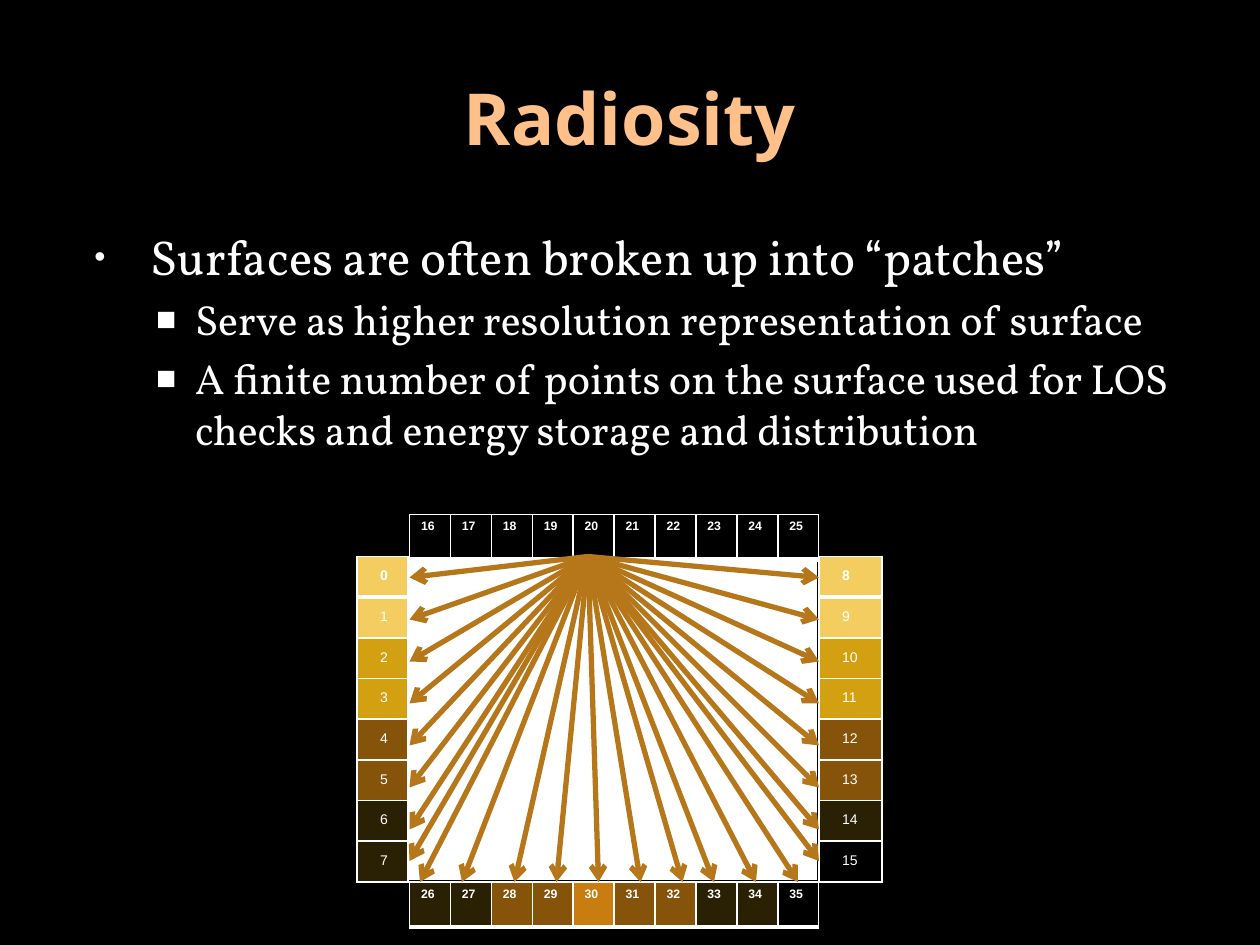
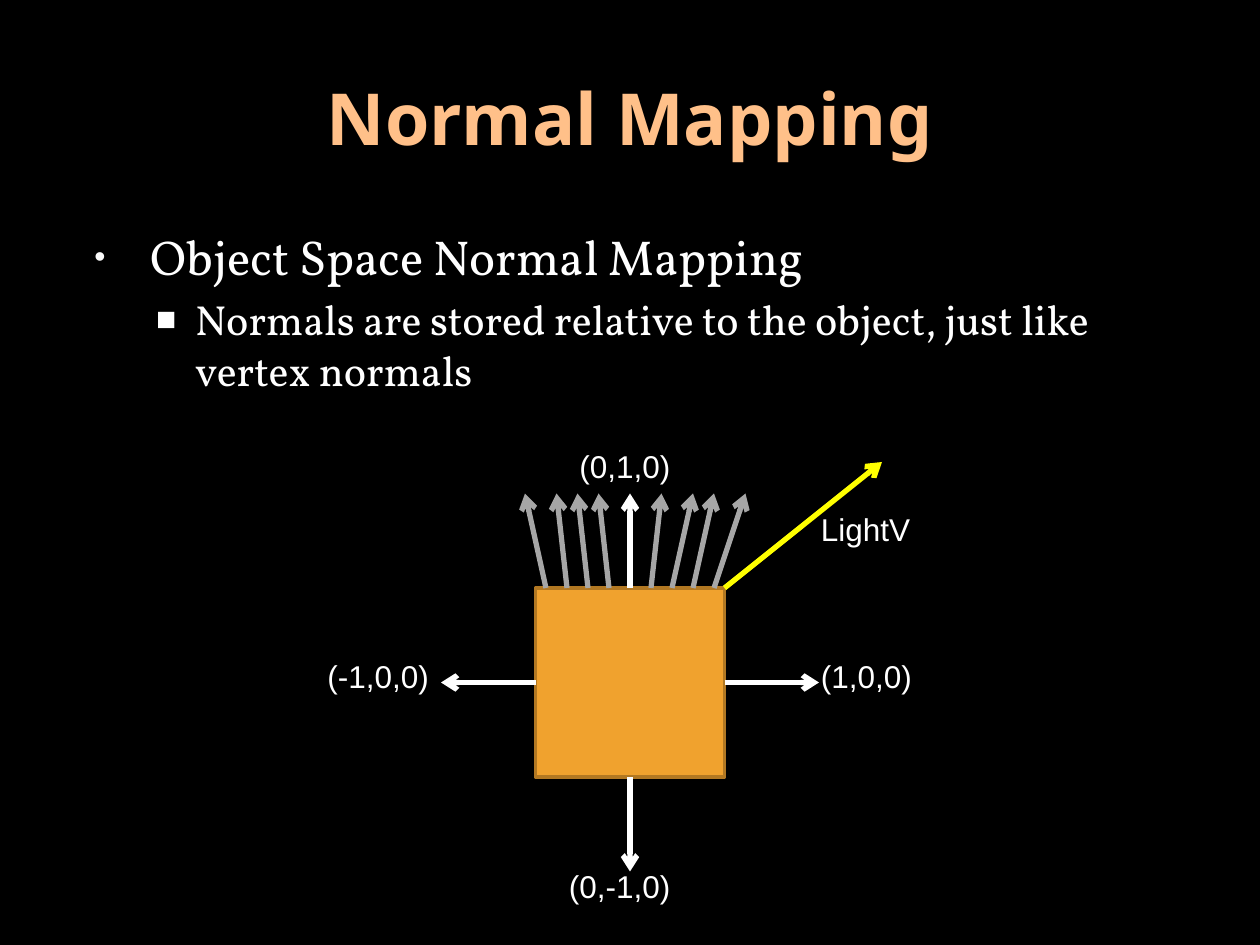
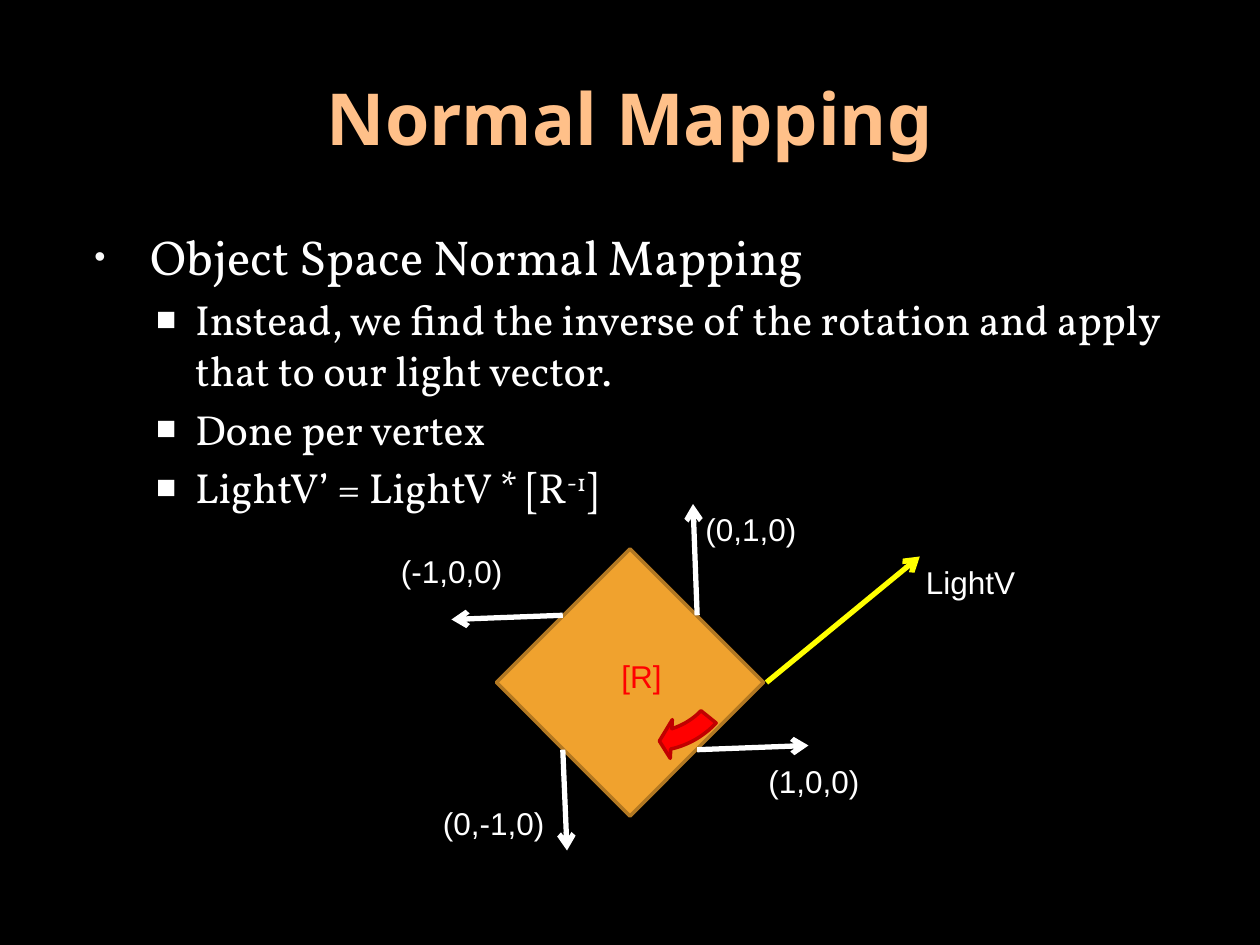
from dataclasses import dataclass
from typing import Optional

from lxml import etree
from pptx import Presentation
from pptx import util as u
from pptx.dml.color import RGBColor
from pptx.enum import shapes, text
from pptx.oxml import ns

SCALE = 7620  # EMU in one px, 120 px to the inch
WIDE, HIGH = 1200, 900

# Palette
BLACK, WHITE, GREY = "000000", "FFFFFF", "A6A6A6"
PEACH, BROWN, YELLOW = "FFC089", "B5771A", "FFFF00"
ORANGE, RUST, RED, CRIMSON = "F0A22E", "B27822", "FF0000", "C00000"
PALE, GOLD, UMBER, DARK, AMBER = "F3CD60", "D2A010", "85540A", "2A2003", "C87D0E"


@dataclass(frozen=True)
class Arrow:
    x1: int
    y1: int
    x2: int
    y2: int
    hue: str = WHITE
    site: Optional[int] = None  # side of the square where it starts


@dataclass(frozen=True)
class Label:
    words: str
    x: int
    y: int
    wide: int = 130
    hue: str = WHITE
    wrap: bool = True


@dataclass(frozen=True)
class Strip:
    x: int
    y: int
    wide: int
    high: int
    first: int  # number in the first patch
    hues: list[str]
    across: bool


@dataclass(frozen=True)
class Bullet:
    mark: str
    hue: str
    ratio: int  # size in percent of the text
    left: int
    hang: int
    size: int


LEVELS = [Bullet("•", "F9F9F9", 65, 72, -54, 28),
          Bullet("■", WHITE, 80, 114, -37, 24)]


# Helpers
def emu(px: int) -> u.Emu:
    return u.Emu(px * SCALE)


def box(*px: int) -> list[u.Emu]:
    return [emu(n) for n in px]


def rgb(hue: str) -> RGBColor:
    return RGBColor.from_string(hue)


def sub(node, tag: str, **attrs):
    return etree.SubElement(node, ns.qn(tag), {k: str(v) for k, v in attrs.items()})


def style(para, face: str, size: int, hue: str, bold: bool = False) -> None:
    font = para.font
    font.name, font.size, font.bold = face, u.Pt(size), bold
    font.color.rgb = rgb(hue)


def paint(shape, fill: str, line: str) -> None:
    shape.shadow.inherit = False
    shape.fill.solid()
    shape.fill.fore_color.rgb = rgb(fill)
    shape.line.color.rgb = rgb(line)
    shape.line.width = u.Pt(2)


# Shared slide elements
def start(deck, title: str, lines: list[str]):
    """Black slide with a title, one main point and its sub-points."""
    slide = deck.slides.add_slide(deck.slide_layouts[6])
    slide.background.fill.solid()
    slide.background.fill.fore_color.rgb = rgb(BLACK)

    frame = slide.shapes.add_textbox(*box(60, 36, 1080, 150)).text_frame
    frame.word_wrap = True
    frame.vertical_anchor = text.MSO_ANCHOR.MIDDLE
    head = frame.paragraphs[0]
    head.text = title
    head.alignment = text.PP_ALIGN.CENTER
    style(head, "Noto Sans", 41, PEACH, True)

    frame = slide.shapes.add_textbox(*box(60, 210, 1080, 618)).text_frame
    frame.word_wrap = True
    for i, line in enumerate(lines):
        para = frame.paragraphs[0] if i == 0 else frame.add_paragraph()
        point(para, line, LEVELS[min(i, 1)])
    return slide


def point(para, line: str, kind: Bullet) -> None:
    """Bulleted paragraph; text between ^ marks is raised."""
    props = para._p.get_or_add_pPr()
    props.set("marL", str(emu(kind.left)))
    props.set("indent", str(emu(kind.hang)))
    sub(sub(props, "a:spcBef"), "a:spcPct", val=20000)
    sub(sub(props, "a:buClr"), "a:srgbClr", val=kind.hue)
    sub(props, "a:buSzPct", val=kind.ratio * 1000)
    sub(props, "a:buFont", typeface="Arial")
    sub(props, "a:buChar", char=kind.mark)
    style(para, "Vollkorn", kind.size, WHITE)
    for i, piece in enumerate(line.split("^")):
        run = para.add_run()
        run.text = piece
        if i % 2:
            run._r.get_or_add_rPr().set("baseline", "30000")


def point_to(slide, arrow: Arrow, base=None) -> None:
    ends = box(arrow.x1, arrow.y1, arrow.x2, arrow.y2)
    link = slide.shapes.add_connector(shapes.MSO_CONNECTOR.STRAIGHT, *ends)
    if base is not None and arrow.site is not None:
        link.begin_connect(base, arrow.site)
        link.begin_x, link.begin_y = ends[:2]  # keeps the start on a turned side
    link.line.color.rgb = rgb(arrow.hue)
    link.line.width = u.Pt(3)
    props = link.element.spPr
    sub(props.find(ns.qn("a:ln")), "a:tailEnd", type="arrow")
    sub(props, "a:effectLst")


def write(slide, label: Label) -> None:
    frame = slide.shapes.add_textbox(*box(label.x, label.y, label.wide, 48)).text_frame
    frame.word_wrap = label.wrap
    frame.auto_size = text.MSO_AUTO_SIZE.SHAPE_TO_FIT_TEXT
    para = frame.paragraphs[0]
    para.text = label.words
    style(para, "Arial", 18, label.hue)


def square(slide, turn: int = 0):
    shape = slide.shapes.add_shape(shapes.MSO_SHAPE.RECTANGLE, *box(510, 560, 180, 180))
    paint(shape, ORANGE, RUST)
    shape.rotation = turn
    return shape


def border(cell, low: int) -> None:
    props = cell._tc.get_or_add_tcPr()
    for side, width in (("L", 1), ("R", 1), ("T", 1), ("B", low)):
        line = sub(props, f"a:ln{side}", w=u.Pt(width))
        sub(sub(line, "a:solidFill"), "a:srgbClr", val=WHITE)


def patches(slide, strip: Strip) -> None:
    """One row or column of numbered patches."""
    count = len(strip.hues)
    rows, cols = (1, count) if strip.across else (count, 1)
    table = slide.shapes.add_table(
        rows, cols, *box(strip.x, strip.y, strip.wide, strip.high)).table
    table.first_row = table.horz_banding = False
    for row in table.rows:
        row.height = emu(strip.high) // rows
    for col in table.columns:
        col.width = emu(strip.wide) // cols
    padx, pady, size = (11, 5, 7) if strip.across else (22, 11, 8)
    for i, (cell, hue) in enumerate(zip(table.iter_cells(), strip.hues)):
        lead = strip.across or i == 0
        border(cell, 3 if lead else 1)
        cell.fill.solid()
        cell.fill.fore_color.rgb = rgb(hue)
        cell.margin_left = cell.margin_right = emu(padx)
        cell.margin_top = cell.margin_bottom = emu(pady)
        para = cell.text_frame.paragraphs[0]
        para.text = str(strip.first + i)
        style(para, "Arial", size, WHITE, lead)


# Slide 1: light spreads from patch 20 to the other walls
def radiosity(deck) -> None:
    slide = start(deck, "Radiosity", [
        "Surfaces are often broken up into “patches”",
        "Serve as higher resolution representation of surface",
        "A finite number of points on the surface used for LOS checks "
        "and energy storage and distribution"])
    left, right, top, floor = 390, 780, 530, 840
    room = slide.shapes.add_shape(
        shapes.MSO_SHAPE.RECTANGLE, *box(370, top, 410, floor - top))
    paint(room, WHITE, BLACK)

    wall = [PALE] * 2 + [GOLD] * 2 + [UMBER] * 2 + [DARK]
    ground = [DARK] * 2 + [UMBER] * 2 + [AMBER] + [UMBER] * 2 + [DARK] * 2 + [BLACK]
    for strip in (
            Strip(340, top, 47, 310, 0, wall + [DARK], False),
            Strip(right, top, 60, 310, 8, wall + [BLACK], False),
            Strip(left, 490, 390, 43, 16, [BLACK] * 10, True),
            Strip(left, floor, 390, 43, 26, ground, True)):
        patches(slide, strip)

    sides = [*range(550, 800, 40), 820]
    lows = [400, 440, *range(490, 660, 40), 680, 720, 760]
    goals = ([(left, y) for y in sides] + [(x, floor) for x in lows]
             + [(right, y) for y in reversed(sides)])
    for x, y in goals:
        point_to(slide, Arrow(560, top, x, y, BROWN))


# Slide 2: normals around an upright square
def normals(deck) -> None:
    slide = start(deck, "Normal Mapping", [
        "Object Space Normal Mapping",
        "Normals are stored relative to the object, just like vertex normals"])
    base = square(slide)
    bumps = [(580, 570), (560, 550), (540, 530), (520, 500),
             (620, 630), (640, 660), (660, 680), (680, 710)]
    for arrow in (
            Arrow(510, 650, 420, 650, site=1),
            Arrow(600, 560, 600, 470, site=0),
            Arrow(690, 650, 780, 650, site=3),
            Arrow(600, 740, 600, 830, site=2),
            Arrow(690, 560, 840, 440, YELLOW),
            *(Arrow(foot, 560, tip, 470, GREY) for foot, tip in bumps)):
        point_to(slide, arrow, base)
    for label in (
            Label("(0,1,0)", 540, 420),
            Label("(0,-1,0)", 530, 820),
            Label("(1,0,0)", 770, 620),
            Label("(-1,0,0)", 300, 620),
            Label("LightV", 770, 480, 110, wrap=False)):
        write(slide, label)


# Slide 3: the square and its normals turned by R
def inverse(deck) -> None:
    slide = start(deck, "Normal Mapping", [
        "Object Space Normal Mapping",
        "Instead, we find the inverse of the rotation and apply that to our light vector.",
        "Done per vertex",
        "LightV’ = LightV * [R^-1^]"])
    base = square(slide, 45)
    for arrow in (
            Arrow(536, 586, 430, 590, site=1),
            Arrow(664, 586, 660, 480, site=0),
            Arrow(664, 714, 770, 710, site=3),
            Arrow(536, 714, 540, 810, site=2),
            Arrow(730, 650, 876, 530, YELLOW)):
        point_to(slide, arrow, base)

    spin = slide.shapes.add_shape(
        shapes.MSO_SHAPE.CIRCULAR_ARROW, *box(557, 564, 148, 167))
    paint(spin, RED, CRIMSON)
    spin.rotation = 237
    thick = 0.125
    angles = [11.42, 204.58, 161.75]  # degrees; 0.6 turns them into shape units
    for i, value in enumerate([thick, *(a * 0.6 for a in angles), thick]):
        spin.adjustments[i] = value

    for label in (
            Label("(0,1,0)", 660, 480),
            Label("(0,-1,0)", 410, 760),
            Label("(1,0,0)", 720, 720),
            Label("(-1,0,0)", 370, 520),
            Label("LightV", 870, 530, 110, wrap=False),
            Label("[R]", 580, 620, 62, RED, False)):
        write(slide, label)


def main() -> None:
    deck = Presentation()
    deck.slide_width, deck.slide_height = box(WIDE, HIGH)
    for build in (radiosity, normals, inverse):
        build(deck)
    deck.save("out.pptx")


if __name__ == "__main__":
    main()
